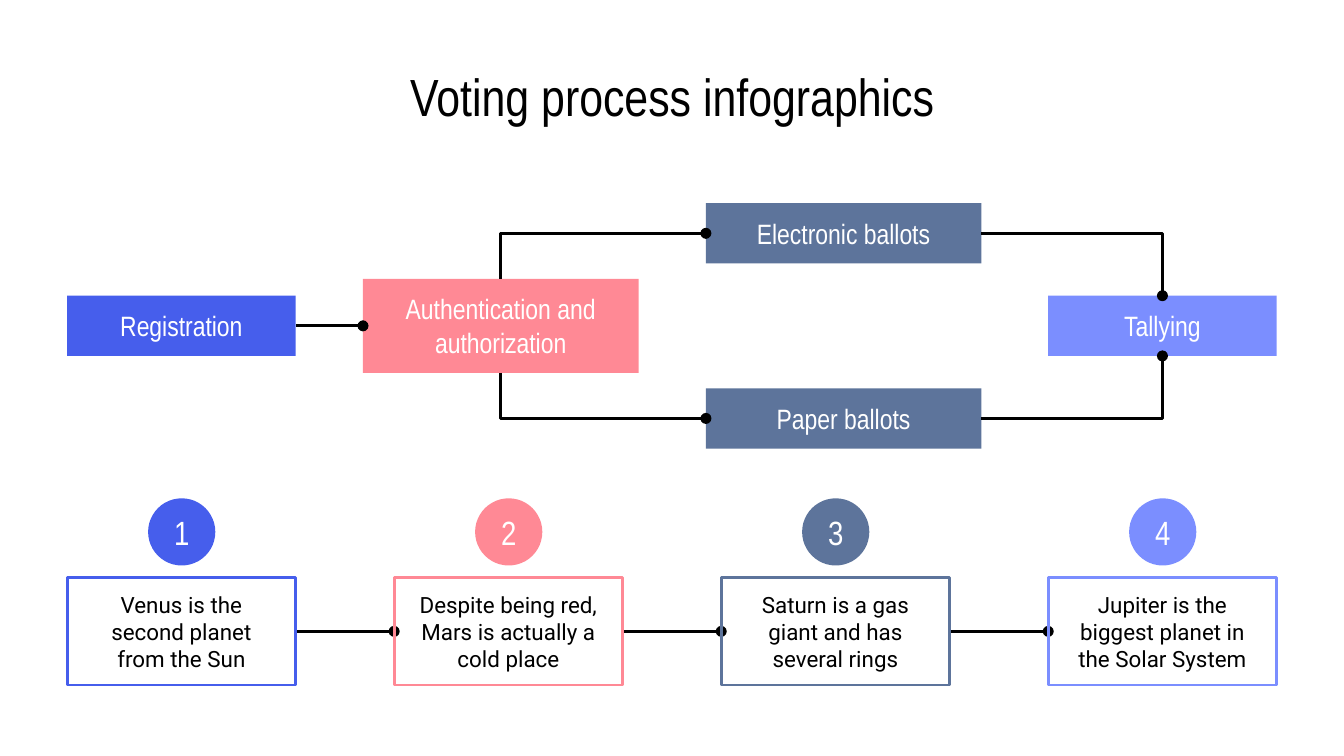
from lxml import etree
from pptx import Presentation
from pptx import util as u
from pptx.dml.color import RGBColor
from pptx.enum import shapes, text
from pptx.oxml.ns import qn


def write(shape, content, font, size, color, anchor="TOP", side=0.25):
    frame = shape.text_frame
    frame.word_wrap = True
    frame.vertical_anchor = text.MSO_ANCHOR[anchor]
    frame.margin_left = frame.margin_right = u.Cm(side)
    frame.margin_top = frame.margin_bottom = u.Cm(0.25)
    paragraph = frame.paragraphs[0]
    paragraph.alignment = text.PP_ALIGN.CENTER
    run = paragraph.add_run()
    run.text = content
    run.font.name = font
    run.font.size = u.Pt(size)
    run.font.color.rgb = RGBColor.from_string(color)


def connect(kind, start, start_site, end, end_site):
    connector = slide.shapes.add_connector(kind, 0, 0, 0, 0)
    connector.begin_connect(start, start_site)
    connector.end_connect(end, end_site)
    connector.line.color.rgb = RGBColor.from_string("000000")
    connector.line.width = u.Pt(1.5)
    etree.SubElement(connector.line._get_or_add_ln(), qn("a:tailEnd"), type="oval")
    etree.SubElement(connector._element.spPr, qn("a:effectLst"))
    return connector


presentation = Presentation()
presentation.slide_width = u.Cm(25.4)
presentation.slide_height = u.Cm(14.29)
slide = presentation.slides.add_slide(presentation.slide_layouts[6])

title = slide.shapes.add_textbox(u.Cm(1.27), u.Cm(1.14), u.Cm(22.86), u.Cm(1.35))
write(title, "Voting process infographics", "Arial Narrow", 28, "000000", "MIDDLE")

stages = {}
for label, left, top, width, height, color in [
    ("Registration", 1.27, 5.59, 4.32, 1.14, "465EEC"),
    ("Authentication and authorization", 6.86, 5.27, 5.21, 1.78, "FF8995"),
    ("Electronic ballots", 13.34, 3.84, 5.21, 1.14, "5D749B"),
    ("Paper ballots", 13.34, 7.34, 5.21, 1.14, "5D749B"),
    ("Tallying", 19.81, 5.59, 4.32, 1.14, "7B8EFF"),
]:
    stage = slide.shapes.add_shape(
        shapes.MSO_SHAPE.RECTANGLE, u.Cm(left), u.Cm(top), u.Cm(width), u.Cm(height)
    )
    stage.shadow.inherit = False
    stage.fill.solid()
    stage.fill.fore_color.rgb = RGBColor.from_string(color)
    stage.line.fill.background()
    write(stage, label, "Arial Narrow", 15, "FFFFFF")
    stages[label] = stage

registration, authentication, electronic, paper, tallying = stages.values()
connect(shapes.MSO_CONNECTOR.STRAIGHT, registration, 3, authentication, 1)

for start, start_site, end, end_site in [
    (authentication, 0, electronic, 1),
    (authentication, 2, paper, 1),
    (electronic, 3, tallying, 0),
    (paper, 3, tallying, 2),
]:
    elbow = connect(shapes.MSO_CONNECTOR.ELBOW, start, start_site, end, end_site)
    properties = elbow._element.spPr
    properties.find(qn("a:prstGeom")).set("prst", "bentConnector2")
    if start is authentication:
        left, top, width, height = elbow.left, elbow.top, elbow.width, elbow.height
        elbow.left = left + (width - height) // 2
        elbow.top = top + (height - width) // 2
        elbow.width, elbow.height = height, width
        transform = properties.find(qn("a:xfrm"))
        transform.set("rot", str(270 * 60000))
        transform.set("flipH", "1" if end is paper else "0")
        transform.set("flipV", "0")

cards = []
for index, (fact, color) in enumerate([
    ("Venus is the second planet from the Sun", "465EEC"),
    ("Despite being red, Mars is actually a cold place", "FF8995"),
    ("Saturn is a gas giant and has several rings", "5D749B"),
    ("Jupiter is the biggest planet in the Solar System", "7B8EFF"),
]):
    left = 1.27 + 6.18 * index
    card = slide.shapes.add_shape(
        shapes.MSO_SHAPE.RECTANGLE, u.Cm(left), u.Cm(10.92), u.Cm(4.32), u.Cm(2.03)
    )
    card.shadow.inherit = False
    card.fill.background()
    card.line.color.rgb = RGBColor.from_string(color)
    card.line.width = u.Pt(1.5)
    write(card, fact, "Roboto", 12, "000000", side=0.38)
    cards.append(card)

    badge = slide.shapes.add_shape(
        shapes.MSO_SHAPE.OVAL, u.Cm(left + 1.53), u.Cm(9.42), u.Cm(1.27), u.Cm(1.27)
    )
    badge.shadow.inherit = False
    badge.fill.solid()
    badge.fill.fore_color.rgb = RGBColor.from_string(color)
    badge.line.fill.background()
    write(badge, str(index + 1), "Arial Narrow", 18, "FFFFFF", "MIDDLE")

for card, following in zip(cards, cards[1:]):
    link = connect(shapes.MSO_CONNECTOR.STRAIGHT, card, 3, following, 1)
    cards[0]._element.addprevious(link._element)

presentation.save("out.pptx")
